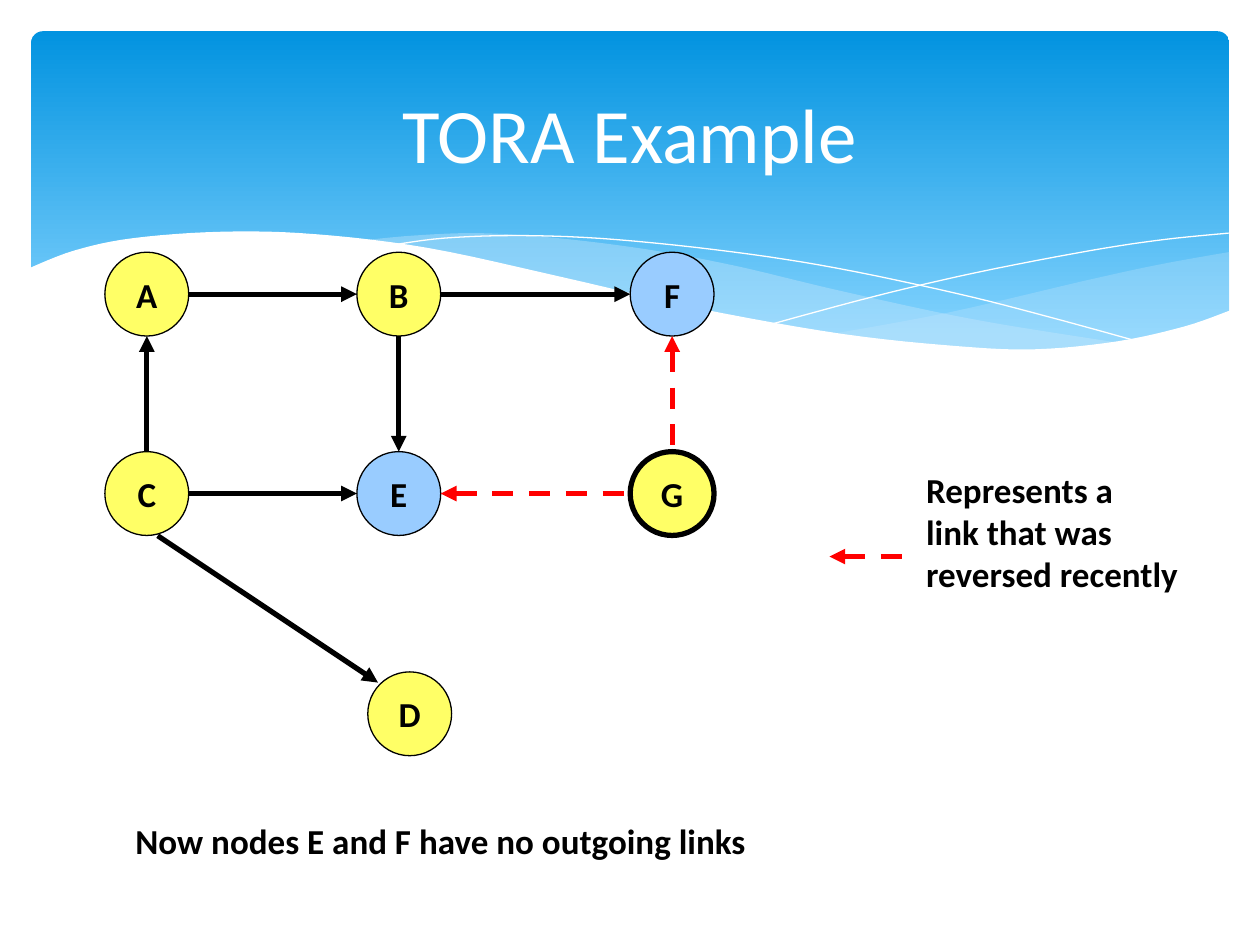
from math import hypot

from lxml import etree
from pptx import Presentation
from pptx.dml.color import RGBColor
from pptx.enum.dml import MSO_LINE
from pptx.enum.shapes import MSO_CONNECTOR, MSO_SHAPE
from pptx.enum.text import MSO_ANCHOR, PP_ALIGN
from pptx.oxml.ns import qn
from pptx.util import Cm, Pt

ROUNDED, OVAL = MSO_SHAPE.ROUNDED_RECTANGLE, MSO_SHAPE.OVAL
STRAIGHT, DASH = MSO_CONNECTOR.STRAIGHT, MSO_LINE.DASH
MIDDLE = MSO_ANCHOR.MIDDLE
LEFT, CENTER = PP_ALIGN.LEFT, PP_ALIGN.CENTER

BLACK = RGBColor(0x00, 0x00, 0x00)
WHITE = RGBColor(0xFF, 0xFF, 0xFF)
RED = RGBColor(0xFF, 0x00, 0x00)
YELLOW = RGBColor(0xFF, 0xFF, 0x66)
PALE_BLUE = RGBColor(0x99, 0xCC, 0xFF)
BANNER_TOP = RGBColor(0x02, 0x93, 0xE0)
BANNER_BOTTOM = RGBColor(0x83, 0xD3, 0xFE)
MIST = RGBColor(0xC6, 0xE7, 0xFC)

FONT = "Calibri"
DIAMETER = 1.69
COLUMNS = (2.96, 8.04, 13.55)
ROWS = (5.93, 9.95)
NODES = {
    "A": (COLUMNS[0], ROWS[0], YELLOW, 0.75),
    "B": (COLUMNS[1], ROWS[0], YELLOW, 0.75),
    "F": (COLUMNS[2], ROWS[0], PALE_BLUE, 0.75),
    "C": (COLUMNS[0], ROWS[1], YELLOW, 0.75),
    "E": (COLUMNS[1], ROWS[1], PALE_BLUE, 0.75),
    "G": (COLUMNS[2], ROWS[1], YELLOW, 3),
    "D": (8.26, 14.39, YELLOW, 0.75),
}
LINKS = ("CA", "BE", "AB", "BF", "CE")
REVERSED_LINKS = ("GF", "GE")

RIGHT_WAVE_TOP = [(16.79, 6.73), (19.13, 6.3), (21.87, 5.66), (23.39, 5.33), (24.79, 5.08)]
RIGHT_WAVE_BOTTOM = [(24.79, 6.27), (23.75, 6.65), (22.15, 6.96), (20.4, 7.06),
                     (18.59, 6.96), (16.79, 6.73)]
MIDDLE_WAVE_TOP = [(7.26, 4.85), (8.33, 4.75), (9.65, 4.7), (11.23, 4.8), (13.06, 5.03),
                   (14.83, 5.36), (16.97, 5.87), (19.69, 6.45), (22.68, 6.93)]
MIDDLE_WAVE_BOTTOM = [(22.68, 6.93), (20.78, 7.06), (19, 7.01), (16.89, 6.76),
                      (14.38, 6.3), (11.4, 5.64), (9.19, 5.16), (7.26, 4.85)]
FALLING_LINE = [(7.85, 4.95), (8.97, 4.8), (10.57, 4.75), (12.42, 4.83), (14.78, 5.08),
                (16.89, 5.41), (19.3, 5.92), (21.11, 6.38), (23.04, 6.91)]
RISING_LINE = [(15.57, 6.53), (17.65, 5.97), (19.71, 5.49), (22, 5.05),
               (23.47, 4.83), (24.77, 4.7)]
FRONT_WAVE = [(0.58, 5.41), (1.5, 5.05), (2.69, 4.8), (4.5, 4.67), (6.35, 4.72),
              (8.64, 5), (11.35, 5.59), (14.1, 6.22), (16.97, 6.73), (19.33, 6.98),
              (20.9, 7.04), (22.53, 6.88), (23.88, 6.58), (24.82, 6.25)]
FRONT_CORNERS = [(24.82, 8.36), (0.58, 8.36)]


def smooth_curve(points, steps=6):
    padded = [points[0], *points, points[-1]]
    curve = [points[0]]
    for before, start, end, after in zip(padded, padded[1:], padded[2:], padded[3:]):
        for step in range(1, steps + 1):
            t = step / steps
            curve.append(tuple(
                (2 * b + (c - a) * t + (2 * a - 5 * b + 4 * c - d) * t ** 2
                 + (3 * b - a - 3 * c + d) * t ** 3) / 2
                for a, b, c, d in zip(before, start, end, after)))
    return curve


def add_outline(page, points, close):
    corners = [(Cm(x), Cm(y)) for x, y in points]
    builder = page.shapes.build_freeform(*corners[0])
    builder.add_line_segments(corners[1:], close=close)
    outline = builder.convert_to_shape()
    outline.shadow.inherit = False
    return outline


def add_wave(page, points, color, opacity=100):
    wave = add_outline(page, points, True)
    wave.fill.solid()
    wave.fill.fore_color.rgb = color
    wave.line.fill.background()
    if opacity < 100:
        tint = wave.fill._xPr.find(qn("a:solidFill"))[0]
        etree.SubElement(tint, qn("a:alpha"), val=str(opacity * 1000))


def add_hairline(page, points):
    hairline = add_outline(page, smooth_curve(points), False)
    hairline.fill.background()
    hairline.line.color.rgb = WHITE
    hairline.line.width = Pt(0)


def add_banner(page):
    banner = page.shapes.add_shape(ROUNDED, Cm(0.63), Cm(0.63), Cm(24.15), Cm(6.86))
    banner.adjustments[0] = 0.034
    banner.shadow.inherit = False
    banner.line.fill.background()
    banner.fill.gradient()
    banner.fill.gradient_angle = 270
    stops = ((0, BANNER_TOP), (0.9, BANNER_BOTTOM))
    for stop, (position, color) in zip(banner.fill.gradient_stops, stops):
        stop.position = position
        stop.color.rgb = color


def write_text(box, text, size=20, color=BLACK, bold=True, align=LEFT, wrap=True):
    frame = box.text_frame
    frame.text = text
    frame.word_wrap = wrap
    frame.vertical_anchor = MIDDLE
    for para in frame.paragraphs:
        para.alignment = align
        for span in para.runs:
            span.font.name = FONT
            span.font.size = Pt(size)
            span.font.bold = bold
            span.font.color.rgb = color


def add_label(page, left, top, width, height, text, **style):
    box = page.shapes.add_textbox(Cm(left), Cm(top), Cm(width), Cm(height))
    write_text(box, text, **style)


def add_node(page, name):
    x, y, color, border = NODES[name]
    node = page.shapes.add_shape(OVAL, Cm(x - DIAMETER / 2), Cm(y - DIAMETER / 2),
                                 Cm(DIAMETER), Cm(DIAMETER))
    node.shadow.inherit = False
    node.fill.solid()
    node.fill.fore_color.rgb = color
    node.line.color.rgb = BLACK
    node.line.width = Pt(border)
    write_text(node, name, align=CENTER, wrap=False)


def add_arrow(page, tip, tail, is_reversed=False):
    arrow = page.shapes.add_connector(STRAIGHT, *(Cm(value) for value in (*tip, *tail)))
    arrow.line.color.rgb = RED if is_reversed else BLACK
    arrow.line.width = Pt(3)
    if is_reversed:
        arrow.line.dash_style = DASH
    properties = arrow._element.spPr
    etree.SubElement(properties.find(qn("a:ln")), qn("a:headEnd"), type="triangle")
    etree.SubElement(properties, qn("a:effectLst"))


def add_link(page, source, target, is_reversed=False):
    x1, y1 = NODES[source][:2]
    x2, y2 = NODES[target][:2]
    share = DIAMETER / 2 / hypot(x2 - x1, y2 - y1)
    dx, dy = (x2 - x1) * share, (y2 - y1) * share
    add_arrow(page, (x2 - dx, y2 - dy), (x1 + dx, y1 + dy), is_reversed)


def main():
    deck = Presentation()
    deck.slide_width, deck.slide_height = Cm(25.4), Cm(19.05)
    page = deck.slides.add_slide(deck.slide_layouts[6])

    add_banner(page)
    add_wave(page, smooth_curve(RIGHT_WAVE_TOP) + smooth_curve(RIGHT_WAVE_BOTTOM), MIST, 29)
    add_wave(page, smooth_curve(MIDDLE_WAVE_TOP) + smooth_curve(MIDDLE_WAVE_BOTTOM), MIST, 40)
    add_hairline(page, FALLING_LINE)
    add_hairline(page, RISING_LINE)
    add_wave(page, smooth_curve(FRONT_WAVE) + FRONT_CORNERS, WHITE)
    add_label(page, 1.27, 0.95, 22.86, 3.47, "TORA Example",
              size=44, color=WHITE, bold=False, align=CENTER)

    for name in NODES:
        add_node(page, name)
    for source, target in LINKS:
        add_link(page, source, target)
    for source, target in REVERSED_LINKS:
        add_link(page, source, target, is_reversed=True)
    add_arrow(page, (7.62, 13.76), (3.18, 10.8))

    add_label(page, 2.48, 16.39, 14.88, 1.1, "Now nodes E and F have no outgoing links")
    add_arrow(page, (16.72, 11.22), (18.42, 11.22), is_reversed=True)
    add_label(page, 18.42, 9.31, 6.35, 2.8,
              "Represents a\nlink that was\nreversed recently")
    deck.save("out.pptx")


if __name__ == "__main__":
    main()
